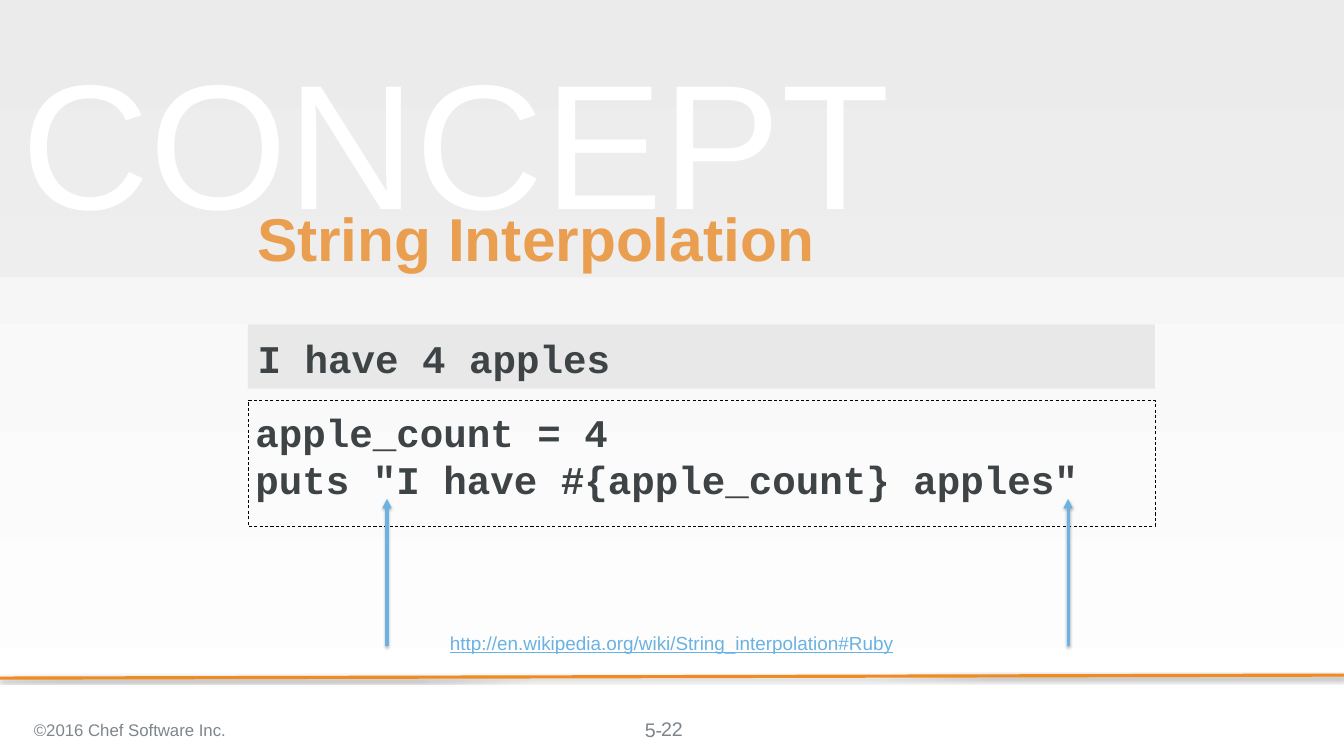
import pptx
import pptx.dml.color
import pptx.enum.dml
import pptx.enum.shapes
import pptx.enum.text
import pptx.util
from lxml import etree
from pptx.oxml.ns import qn

Inches = pptx.util.Inches
RGBColor = pptx.dml.color.RGBColor
ALIGN = pptx.enum.text.PP_ALIGN
ANCHOR = pptx.enum.text.MSO_ANCHOR

ORANGE = RGBColor(0xF1, 0x8B, 0x21)
BLUE = RGBColor(0x6B, 0xB2, 0xE2)
CODE_GREY = RGBColor(0x3E, 0x43, 0x46)
FOOTER_GREY = RGBColor(0x7D, 0x86, 0x8C)
PANEL_GREY = RGBColor(0xD9, 0xD9, 0xD9)
PALE_GREY = RGBColor(0xF2, 0xF2, 0xF2)
WHITE = RGBColor(0xFF, 0xFF, 0xFF)
BLACK = RGBColor(0, 0, 0)

WIDTH, HEIGHT = 17.78, 10
CODE_FORMAT = {"size": 37.3, "font": "Courier New", "color": CODE_GREY, "bold": True}


def inches(*lengths):
    return [Inches(length) for length in lengths]


def write(shape, *lines, size, color, font="Arial", bold=False, underline=False,
          align=ALIGN.LEFT, anchor=ANCHOR.TOP, inset=0.1, spacing=1.0):
    """Fill a shape with one formatted paragraph per line."""
    frame = shape.text_frame
    frame.word_wrap = True
    frame.auto_size = pptx.enum.text.MSO_AUTO_SIZE.NONE
    frame.vertical_anchor = anchor
    frame.margin_left = frame.margin_right = Inches(inset)
    frame.margin_top = frame.margin_bottom = Inches(inset)
    frame.text = "\n".join(lines)
    for paragraph in frame.paragraphs:
        paragraph.alignment = align
        paragraph.line_spacing = spacing
        paragraph.space_before = pptx.util.Pt(0)
        for run in paragraph.runs:
            run.font.size = pptx.util.Pt(size)
            run.font.name = font
            run.font.bold = bold
            run.font.underline = underline
            run.font.color.rgb = color


def place(shape, left, top, width, height):
    shape.left, shape.top, shape.width, shape.height = inches(left, top, width, height)


def add_label(slide, box, *lines, **text_format):
    write(slide.shapes.add_textbox(*inches(*box)), *lines, **text_format)


def add_panel(slide, box, color, opacity):
    panel = slide.shapes.add_shape(pptx.enum.shapes.MSO_SHAPE.RECTANGLE, *inches(*box))
    panel.shadow.inherit = False
    panel.line.fill.background()
    panel.fill.solid()
    panel.fill.fore_color.rgb = color
    fill_color = panel.fill._xPr.find(qn("a:solidFill"))[0]
    etree.SubElement(fill_color, qn("a:alpha"), val=str(opacity * 1000))
    return panel


def add_line(slide, start, end, color, arrow=False):
    line = slide.shapes.add_connector(
        pptx.enum.shapes.MSO_CONNECTOR.STRAIGHT, *inches(*start, *end))
    line.line.color.rgb = color
    line.line.width = pptx.util.Pt(3)
    if arrow:
        etree.SubElement(line.line._get_or_add_ln(), qn("a:tailEnd"), type="triangle")
    # Soft shadow straight below the line
    effects = etree.SubElement(line._element.spPr, qn("a:effectLst"))
    shadow = etree.SubElement(effects, qn("a:outerShdw"), blurRad="39370",
                              dist="22860", dir="5400000", rotWithShape="0")
    shadow_color = etree.SubElement(shadow, qn("a:srgbClr"), val=str(BLACK))
    etree.SubElement(shadow_color, qn("a:alpha"), val="35000")


def set_background(slide):
    fill = slide.background.fill
    fill.gradient()
    fill.gradient_angle = 270
    for stop, color, position in zip(fill.gradient_stops, (PALE_GREY, WHITE), (0, 1)):
        stop.color.rgb = color
        stop.position = position


def add_header(slide, left, top, width, height):
    add_panel(slide, (left, top, width, height), PANEL_GREY, 25)
    add_label(slide, (left + 0.15, top + 0.53, 12.64, 2.6), "CONCEPT",
              size=169.3, color=WHITE, anchor=ANCHOR.MIDDLE, inset=0.13)
    title = slide.shapes.title
    place(title, left + 3.3, top + 2.73, 12, 0.93)
    write(title, "String Interpolation", size=57.6, color=ORANGE, bold=True,
          anchor=ANCHOR.MIDDLE, spacing=0.9)


def add_example(slide, left, top, width, height):
    # Printed result
    result = add_panel(slide, (left, top, width, 0.85), PANEL_GREY, 50)
    write(result, "I have 4 apples", inset=0.13, **CODE_FORMAT)

    # Code
    code_top = top + 1.01
    code = slide.placeholders[1]
    place(code, left, code_top, width, 1.66)
    code.line.color.rgb = BLACK
    code.line.width = pptx.util.Pt(0.75)
    code.line.dash_style = pptx.enum.dml.MSO_LINE.DASH
    write(code, "apple_count = 4", 'puts "I have #{apple_count} apples"', **CODE_FORMAT)

    # Arrows to the opening and closing quotation marks
    for quote_x in (left + 1.84, left + 10.85):
        add_line(slide, (quote_x, top + height), (quote_x, code_top + 1.3), BLUE, arrow=True)


def add_reference(slide, *box):
    add_label(slide, box, "http://en.wikipedia.org/wiki/String_interpolation#Ruby",
              size=18, color=BLUE, underline=True, align=ALIGN.CENTER,
              anchor=ANCHOR.MIDDLE)


def add_footer(slide, left, top, width):
    add_line(slide, (left + width, top), (left, top + 0.04), ORANGE)
    add_label(slide, (left + 0.35, top + 0.45, 6.21, 0.56), "©2016 Chef Software Inc.",
              size=16, color=FOOTER_GREY, anchor=ANCHOR.MIDDLE)
    # Module and page number
    add_label(slide, (left + 8.53, top + 0.56, 0.8, 0.31), "5-",
              size=18.7, color=FOOTER_GREY, inset=0)
    add_label(slide, (left + 6.89, top + 0.45, 4, 0.53), "22", size=18.7,
              color=FOOTER_GREY, align=ALIGN.CENTER, anchor=ANCHOR.MIDDLE)


def main():
    deck = pptx.Presentation()
    deck.slide_width, deck.slide_height = inches(WIDTH, HEIGHT)
    slide = deck.slides.add_slide(deck.slide_layouts[0])
    set_background(slide)
    add_header(slide, 0, 0, WIDTH, 3.67)
    add_example(slide, 3.28, 4.29, 12, 4.25)
    add_reference(slide, 4.01, 8.22, 9.75, 0.57)
    add_footer(slide, 0, 8.93, WIDTH)
    deck.save("out.pptx")


if __name__ == "__main__":
    main()
